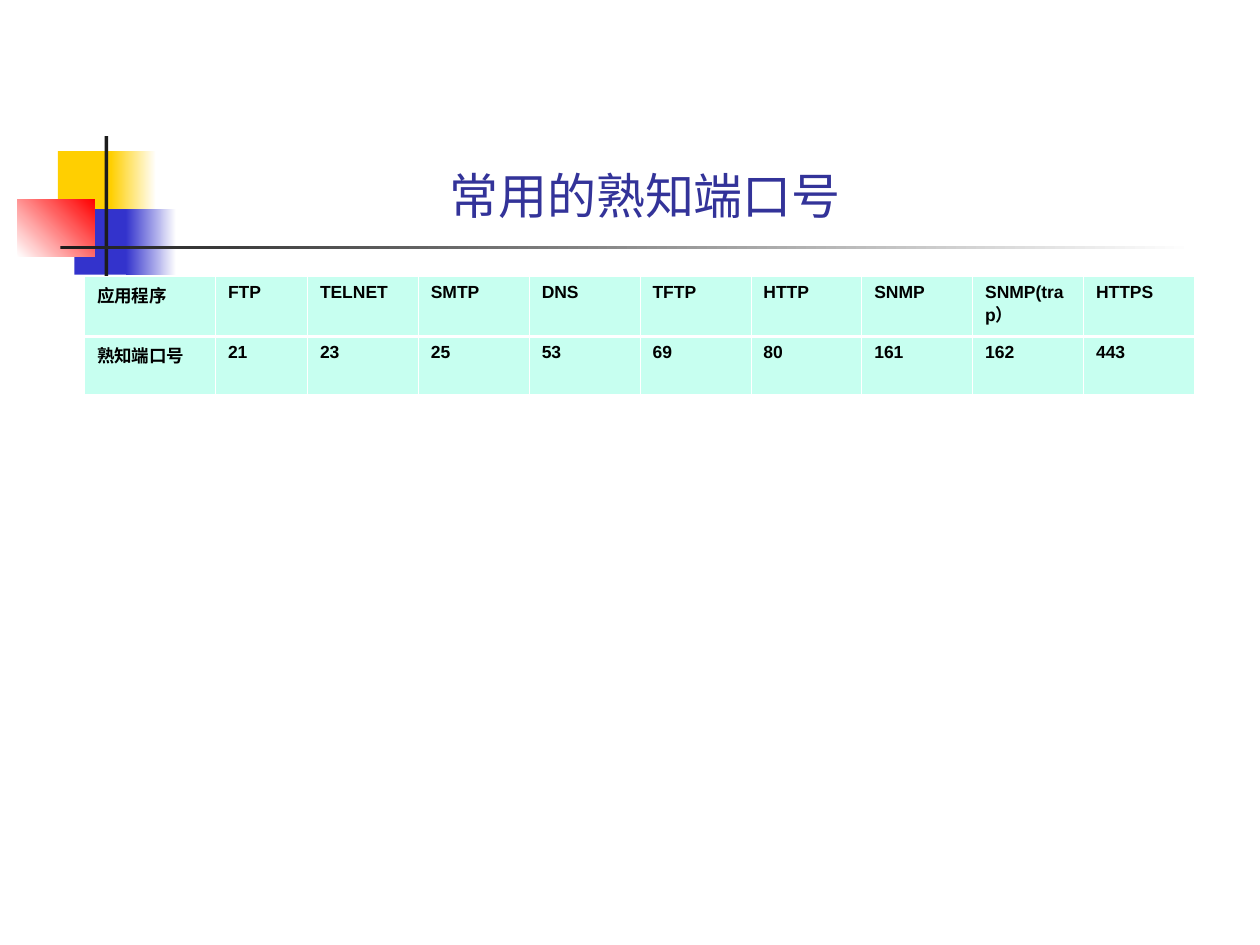
from pptx import Presentation, util as u
from pptx.dml.color import RGBColor
from pptx.enum import shapes, text
from pptx.oxml import parse_xml
from pptx.oxml.ns import nsdecls

TITLE = "常用的熟知端口号"
ROWS = [
    ["应用程序", "FTP", "TELNET", "SMTP", "DNS", "TFTP", "HTTP", "SNMP",
     "SNMP(trap）", "HTTPS"],
    ["熟知端口号", "21", "23", "25", "53", "69", "80", "161", "162", "443"],
]
WIDTHS = [1.04, 0.73] + [0.88] * 8
HEIGHTS = [0.48, 0.46]
THIN, THICK = 0.45, 1.47

# Ornament: left, top, width, height, colours (two make a gradient), angle
DECOR = [
    (0.46, 1.2, 0.48, 0.52, ["FFCF01"], 0),
    (0.88, 1.2, 0.36, 0.52, ["FFCF01", "FFFFFF"], 0),
    (0.59, 1.66, 0.46, 0.52, ["3333CC"], 0),
    (1, 1.66, 0.4, 0.52, ["3333CC", "FFFFFF"], 0),
    (0.14, 1.58, 0.61, 0.46, ["FFFFFF", "FF0000"], 45),
    (0.83, 1.08, 0.03, 1.15, ["1C1C1C"], 0),
    (0.48, 1.95, 9, 0.03, ["1C1C1C", "FFFFFF"], 0),
]


def rgb(code):
    return RGBColor.from_string(code)


def box(*sides):
    return [u.Inches(side) for side in sides]


def style(para, size, color, bold=False):
    font = para.runs[0].font
    font.name, font.size, font.bold = "Arial", u.Pt(size), bold
    font.color.rgb = rgb(color)


def paint(fill, colors, angle=0):
    if len(colors) == 1:
        fill.solid()
        fill.fore_color.rgb = rgb(colors[0])
        return
    fill.gradient()
    fill.gradient_angle = angle
    for stop, color, pos in zip(fill.gradient_stops, colors, (0, 1)):
        stop.color.rgb = rgb(color)
        stop.position = pos


def edge(cell, side, width):
    line = parse_xml(
        f'<a:{side} {nsdecls("a")} w="{u.Pt(width)}"><a:solidFill>'
        f'<a:srgbClr val="FFFFFF"/></a:solidFill></a:{side}>')
    cell._tc.get_or_add_tcPr().append(line)


prs = Presentation()
prs.slide_width, prs.slide_height = box(10, 7.5)
slide = prs.slides.add_slide(prs.slide_layouts[5])

# Coloured squares and rules
for *sides, colors, angle in DECOR:
    part = slide.shapes.add_shape(shapes.MSO_SHAPE.RECTANGLE, *box(*sides))
    part.shadow.inherit = False
    part.line.fill.background()
    paint(part.fill, colors, angle)

# Title, in front of the ornament
title = slide.shapes.title
title.left, title.top, title.width, title.height = box(0.86, 1.07, 8.52, 0.76)
frame = title.text_frame
frame.text = TITLE
frame.auto_size = text.MSO_AUTO_SIZE.NONE
frame.vertical_anchor = text.MSO_ANCHOR.BOTTOM
frame.paragraphs[0].alignment = text.PP_ALIGN.CENTER
style(frame.paragraphs[0], 28, "333399")
slide.shapes._spTree.append(title._element)

# Port table
table = slide.shapes.add_table(
    len(ROWS), len(WIDTHS), *box(0.67, 2.19, sum(WIDTHS), sum(HEIGHTS))).table
for col, width in zip(table.columns, WIDTHS):
    col.width = u.Inches(width)
for r, (names, height) in enumerate(zip(ROWS, HEIGHTS)):
    table.rows[r].height = u.Inches(height)
    top, bottom = (THIN, THICK) if r == 0 else (THICK, THIN)
    for c, name in enumerate(names):
        cell = table.cell(r, c)
        cell.text_frame.text = name
        style(cell.text_frame.paragraphs[0], 10, "000000", True)
        for side, width in zip(("lnL", "lnR", "lnT", "lnB"),
                               (THIN, THIN, top, bottom)):
            edge(cell, side, width)
        paint(cell.fill, ["C7FFF0"])

prs.save("out.pptx")
